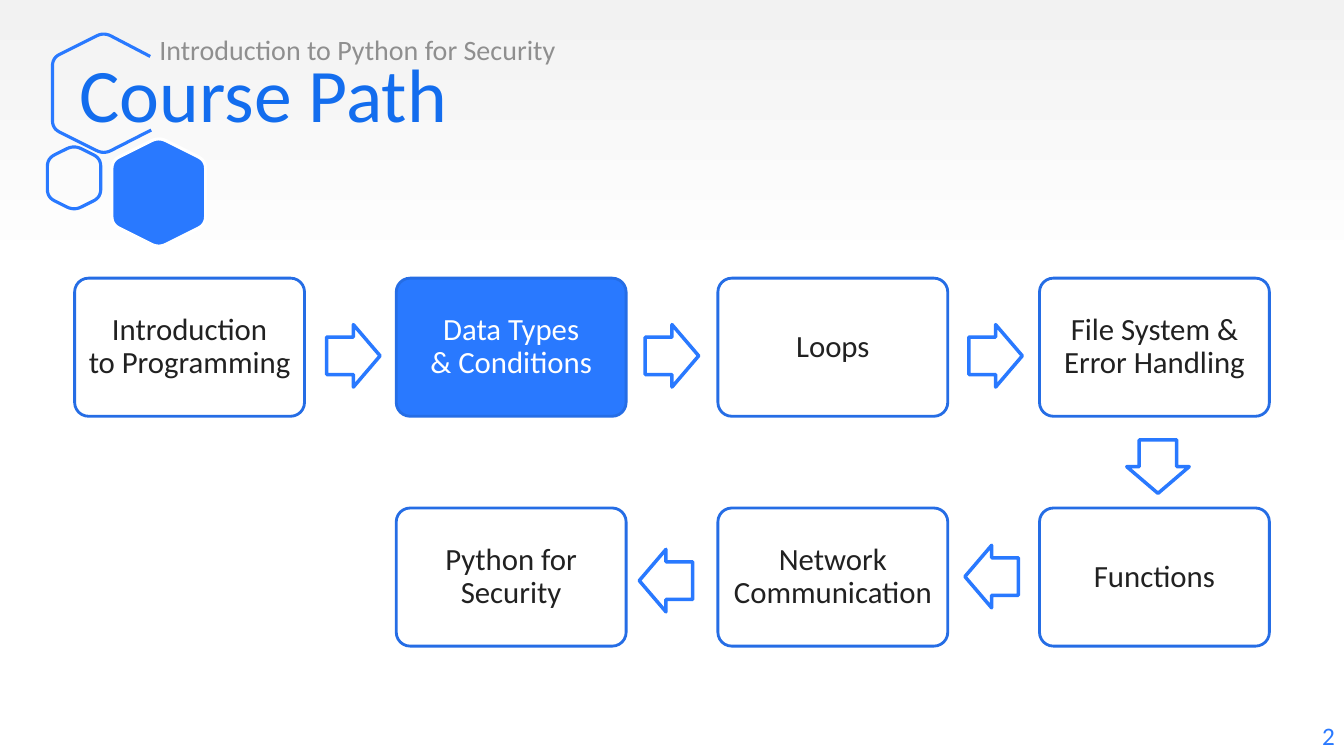
from lxml import etree
from pptx import Presentation
from pptx import util as u
from pptx.dml import color
from pptx.enum import shapes, text

FONT = "Calibri"
BLUE = "2979FF"
BOX_EDGE = "256DE5"
INK = "212121"
WHITE = "FFFFFF"

STEPS = [
    ("Introduction\vto Programming", 0, 0),
    ("Data Types\v& Conditions", 1, 0),
    ("Loops", 2, 0),
    ("File System & Error Handling", 3, 0),
    ("Functions", 3, 1),
    ("Network Communication", 2, 1),
    ("Python for Security", 1, 1),
]
CURRENT_STEP = 1
ARROWS = [
    (3.24, 3.22, 0),
    (6.4, 3.22, 0),
    (9.61, 3.22, 0),
    (11.22, 4.32, 90),
    (9.57, 5.41, 180),
    (6.34, 5.45, 180),
]


def rgb(value):
    """Turn a hex string into a colour."""
    return color.RGBColor.from_string(value)


def paint(shape, fill, edge, width):
    """Set fill (None for hollow) and outline, without shadow."""
    shape.shadow.inherit = False
    if fill:
        shape.fill.solid()
        shape.fill.fore_color.rgb = rgb(fill)
    else:
        shape.fill.background()
    shape.line.color.rgb = rgb(edge)
    shape.line.width = u.Pt(width)


def write(shape, words, size, ink, align, anchor):
    """Put one formatted paragraph into a shape."""
    frame = shape.text_frame
    frame.word_wrap = True
    frame.auto_size = text.MSO_AUTO_SIZE.NONE
    frame.vertical_anchor = anchor
    paragraph = frame.paragraphs[0]
    paragraph.text = words
    paragraph.alignment = align
    paragraph.font.name = FONT
    paragraph.font.size = u.Pt(size)
    paragraph.font.color.rgb = rgb(ink)
    return paragraph


def place(shape, left, top, width, height):
    """Move and size a shape in inches."""
    shape.left, shape.top = u.Inches(left), u.Inches(top)
    shape.width, shape.height = u.Inches(width), u.Inches(height)


def toward(start, end, distance):
    """Return the point a given distance from start toward end."""
    dx, dy = end[0] - start[0], end[1] - start[1]
    share = distance / (dx * dx + dy * dy) ** 0.5
    return start[0] + dx * share, start[1] + dy * share


def rounded_corner(before, corner, after, cut=0.08, steps=6):
    """Return points of a curve that rounds one corner."""
    a, b = toward(corner, before, cut), toward(corner, after, cut)
    curve = []
    for step in range(steps + 1):
        t = step / steps
        curve.append(tuple(
            (1 - t) ** 2 * p + 2 * t * (1 - t) * q + t * t * r
            for p, q, r in zip(a, corner, b)))
    return curve


def add_hexagon(slide, left, top, right, bottom, fill=None, edge=BLUE, gap=None):
    """Draw an upright rounded hexagon, open on the right if gap ends are given."""
    middle = (left + right) / 2
    rise = (right - left) / 4
    corners = [(middle, top), (left, top + rise), (left, bottom - rise), (middle, bottom)]
    if gap:
        track = [gap[0], *corners, gap[1]]
    else:
        corners += [(right, bottom - rise), (right, top + rise)]
        track = [corners[-1], *corners, corners[0]]
    points = [point for trio in zip(track, track[1:], track[2:])
              for point in rounded_corner(*trio)]
    if gap:
        points = [gap[0], *points, gap[1]]
    outline = [(u.Inches(x), u.Inches(y)) for x, y in points]
    builder = slide.shapes.build_freeform(*outline[0])
    builder.add_line_segments(outline[1:], close=gap is None)
    paint(builder.convert_to_shape(), fill, edge, 2.25)


def add_step(slide, words, column, row, fill, ink):
    """Draw one rounded course step on the grid."""
    step = slide.shapes.add_shape(
        shapes.MSO_SHAPE.ROUNDED_RECTANGLE,
        u.Inches(0.74 + 3.19 * column), u.Inches(2.76 + 2.28 * row),
        u.Inches(2.28), u.Inches(1.37))
    step.adjustments[0] = 0.1
    paint(step, fill, BOX_EDGE, 2)
    frame = step.text_frame
    frame.margin_left = frame.margin_right = u.Inches(0.08)
    paragraph = write(step, words, 22, ink, text.PP_ALIGN.CENTER, text.MSO_ANCHOR.MIDDLE)
    paragraph.line_spacing = 0.9


def add_arrow(slide, left, top, turn):
    """Draw a hollow block arrow turned by some degrees."""
    arrow = slide.shapes.add_shape(
        shapes.MSO_SHAPE.RIGHT_ARROW,
        u.Inches(left), u.Inches(top), u.Inches(0.53), u.Inches(0.62))
    arrow.adjustments[0] = 0.6
    arrow.adjustments[1] = 0.5
    arrow.rotation = turn
    paint(arrow, None, BLUE, 2.5)


def add_background(slide):
    """Fade the background from light grey to white."""
    fill = slide.background.fill
    fill.gradient()
    fill.gradient_angle = 270
    for stop, position, shade in zip(fill.gradient_stops, (0, 0.37), ("F2F2F2", WHITE)):
        stop.position = position
        stop.color.rgb = rgb(shade)


def add_headings(slide):
    """Fill the title and the course name above it, in front of the hexagons."""
    title, course = slide.shapes.title, slide.placeholders[1]
    for heading in (title, course):
        heading.element.getparent().append(heading.element)
    place(title, 0.69, 0.32, 11.49, 1.2)
    write(title, "Course Path", 54, "136DEE", text.PP_ALIGN.LEFT, text.MSO_ANCHOR.MIDDLE)
    place(course, 1.48, 0.27, 4.45, 0.36)
    paragraph = write(course, "Introduction to Python for Security", 20, "8F8F8F",
                      text.PP_ALIGN.LEFT, text.MSO_ANCHOR.TOP)
    paragraph.space_before = u.Pt(0)
    properties = paragraph.font._element.getparent()
    properties.set("marL", "0")
    properties.set("indent", "0")
    bullet = etree.Element("{http://schemas.openxmlformats.org/drawingml/2006/main}buNone")
    paragraph.font._element.addprevious(bullet)


def main():
    """Build the course path slide."""
    deck = Presentation()
    deck.slide_width, deck.slide_height = u.Inches(13.33), u.Inches(7.5)
    slide = deck.slides.add_slide(deck.slide_layouts[1])
    add_background(slide)
    add_hexagon(slide, 0.52, 0.32, 1.54, 1.53, gap=((1.49, 0.56), (1.5, 1.29)))
    add_hexagon(slide, 0.47, 1.44, 1, 2.09)
    add_hexagon(slide, 1.11, 1.36, 2.04, 2.46, fill=BLUE, edge=WHITE)
    number = slide.shapes.add_textbox(
        u.Inches(11.58), u.Inches(7.1), u.Inches(1.76), u.Inches(0.4))
    write(number, "2", 18, BLUE, text.PP_ALIGN.RIGHT, text.MSO_ANCHOR.TOP)
    add_headings(slide)
    for index, (words, column, row) in enumerate(STEPS):
        current = index == CURRENT_STEP
        add_step(slide, words, column, row,
                 BLUE if current else WHITE, WHITE if current else INK)
    for left, top, turn in ARROWS:
        add_arrow(slide, left, top, turn)
    deck.save("out.pptx")


if __name__ == "__main__":
    main()
